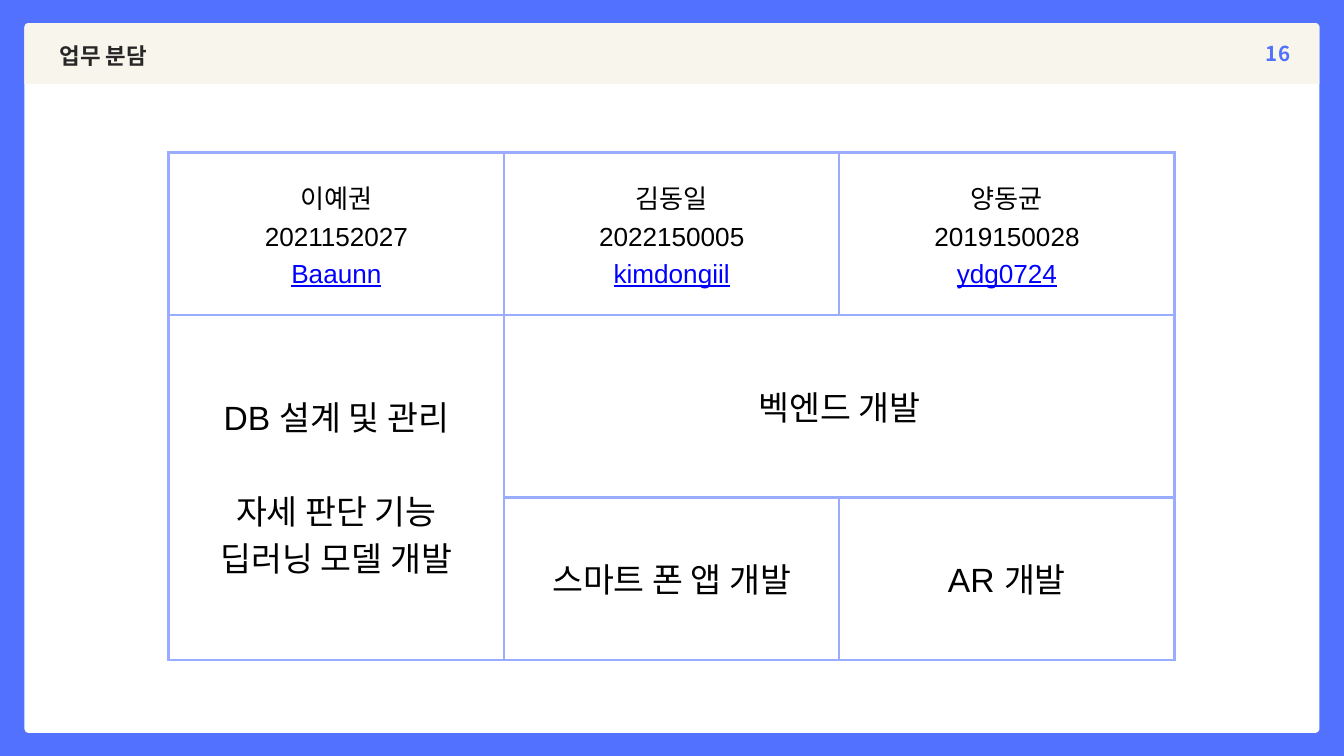
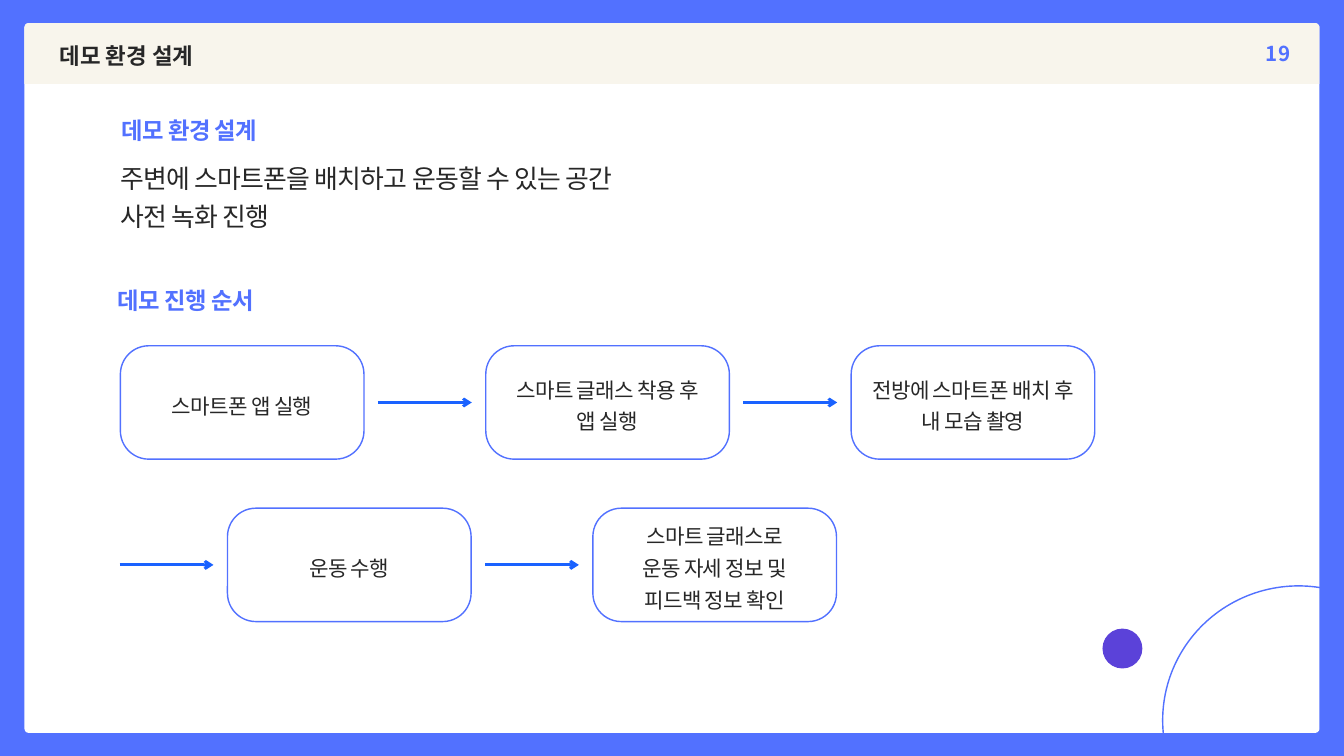
from lxml import etree
from pptx import Presentation
from pptx import util as u
from pptx.dml.color import RGBColor
from pptx.enum import shapes, text
from pptx.oxml import parse_xml
from pptx.oxml.ns import nsdecls, qn

PX = 9525  # 96 px to the inch
BLUE = RGBColor(0x52, 0x71, 0xFF)
ARROW_BLUE = RGBColor(0x1A, 0x62, 0xFF)
LINK_BLUE = RGBColor(0x00, 0x00, 0xFF)
PURPLE = RGBColor(0x4E, 0x32, 0xD6)
CREAM = RGBColor(0xF8, 0xF5, 0xEC)
WHITE = RGBColor(0xFF, 0xFF, 0xFF)
BLACK = RGBColor(0x00, 0x00, 0x00)
INK = RGBColor(0x27, 0x27, 0x27)
GRID = RGBColor(0x99, 0xAC, 0xFF)
NOTO = "Noto Sans CJK KR"
SHAPE = shapes.MSO_SHAPE
ALIGN = text.PP_ALIGN
CARD = (35, 33, 1850, 1014)
BAND_H = 87
RADIUS = 6
STEP_W, STEP_H, STEP_PITCH = 348, 162, 522
ARROW_GAP = 20


def px(*lengths):
    return [u.Emu(n * PX) for n in lengths]


def style(p, size, leading, color, font=NOTO, bold=False, spacing=0, align=ALIGN.LEFT):
    p.alignment = align
    p.line_spacing = u.Pt(leading)
    f = p.font
    f.size, f.bold, f.name = u.Pt(size), bold, font
    f.color.rgb = color
    props = p._p.get_or_add_pPr().get_or_add_defRPr()
    if spacing:
        props.set("spc", str(round(spacing * 100)))
    if font == NOTO:
        etree.SubElement(props, qn("a:ea")).set("typeface", font)


def write(tf, lines, **look):
    tf.word_wrap = True
    tf.margin_left = tf.margin_top = tf.margin_right = tf.margin_bottom = 0
    for i, line in enumerate(lines):
        p = tf.add_paragraph() if i else tf.paragraphs[0]
        p.text = line
        style(p, **look)


def add_text(s, box, *lines, **look):
    write(s.shapes.add_textbox(*px(*box)).text_frame, lines, **look)


def add_shape(s, kind, box, fill=None, line=None):
    sp = s.shapes.add_shape(kind, *px(*box))
    sp.shadow.inherit = False
    if fill is None:
        sp.fill.background()
    else:
        sp.fill.solid()
        sp.fill.fore_color.rgb = fill
    if line is None:
        sp.line.fill.background()
    else:
        sp.line.color.rgb = line
        sp.line.width = u.Pt(1.5)
    return sp


def add_page(prs, title, number):
    """Add a slide with the frame, title band and page number."""
    s = prs.slides.add_slide(prs.slide_layouts[6])
    s.background.fill.solid()
    s.background.fill.fore_color.rgb = BLUE
    x, y, w, h = CARD
    card = add_shape(s, SHAPE.ROUNDED_RECTANGLE, CARD, WHITE)
    card.adjustments[0] = RADIUS / h
    band = add_shape(s, SHAPE.ROUND_2_SAME_RECTANGLE, (x, y, w, BAND_H), CREAM)
    band.adjustments[0] = RADIUS / BAND_H
    add_text(s, (x + 50, y + 23, 668, 42), title,
             size=24, leading=31.7, color=INK, bold=True)
    add_text(s, (x + w - 445, y + 22, 403, 38), str(number),
             size=22, leading=29, color=BLUE, bold=True, align=ALIGN.RIGHT)
    return s


def style_cell(cell):
    cell.vertical_anchor = text.MSO_ANCHOR.MIDDLE
    cell.margin_left = cell.margin_top = cell.margin_right = cell.margin_bottom = px(20)[0]
    cell.fill.background()
    props = cell._tc.get_or_add_tcPr()
    for i, side in enumerate("LRTB"):
        props.insert(i, parse_xml(
            f'<a:ln{side} {nsdecls("a")} w="{u.Pt(3)}"><a:solidFill>'
            f'<a:srgbClr val="{GRID}"/></a:solidFill></a:ln{side}>'))


def fill_cell(cell, lines, size, leading, font="Arial"):
    for i, line in enumerate(lines):
        p = cell.text_frame.add_paragraph() if i else cell.text_frame.paragraphs[0]
        p.text = line
        style(p, size, leading, BLACK, font, align=ALIGN.CENTER)
    return cell.text_frame.paragraphs


def add_duties(s, x, y):
    col_w, row_heights = 479, (232, 261, 232)
    table = s.shapes.add_table(3, 3, *px(x, y, 3 * col_w, sum(row_heights))).table
    table.first_row = table.horz_banding = False
    for col in table.columns:
        col.width = px(col_w)[0]
    for row, height in zip(table.rows, row_heights):
        row.height = px(height)[0]
    for cell in table.iter_cells():
        style_cell(cell)

    members = [("이예권", "2021152027", "Baaunn"),
               ("김동일", "2022150005", "kimdongiil"),
               ("양동균", "2019150028", "ydg0724")]
    for c, member in enumerate(members):
        account = fill_cell(table.cell(0, c), member, 28, 39.2)[-1]
        account.font.color.rgb = LINK_BLUE
        account.font.underline = True

    table.cell(1, 0).merge(table.cell(2, 0))
    table.cell(1, 1).merge(table.cell(1, 2))
    model = fill_cell(table.cell(1, 0),
                      ("DB 설계 및 관리", "자세 판단 기능", "딥러닝 모델 개발"), 36, 50.4)
    model[1].space_before = u.Pt(50.4)
    fill_cell(table.cell(1, 1), ["벡엔드 개발"], 36, 50.4, "Calibri")
    fill_cell(table.cell(2, 1), ["스마트 폰 앱 개발"], 36, 50.4)
    fill_cell(table.cell(2, 2), ["AR 개발"], 36, 50.4)


def add_arrow(s, x1, x2, y):
    line = s.shapes.add_connector(shapes.MSO_CONNECTOR.STRAIGHT, *px(x1, y, x2, y))
    line.line.color.rgb = ARROW_BLUE
    line.line.width = u.Pt(3)
    etree.SubElement(line.line._get_or_add_ln(), qn("a:tailEnd")).set("type", "arrow")
    etree.SubElement(line._element.spPr, qn("a:effectLst"))


def add_steps(s, x, y, steps, continued=False):
    """Place a row of steps; a continued row also has an arrow before its first step."""
    for i, lines in enumerate(steps):
        left = x + i * STEP_PITCH
        sp = add_shape(s, SHAPE.ROUNDED_RECTANGLE, (left, y, STEP_W, STEP_H), line=BLUE)
        sp.adjustments[0] = 0.25
        write(sp.text_frame, lines, size=22.7, leading=34, color=INK,
              spacing=-0.7, align=ALIGN.CENTER)
        sp.text_frame.vertical_anchor = text.MSO_ANCHOR.MIDDLE
        if i or continued:
            add_arrow(s, left - (STEP_PITCH - STEP_W) + ARROW_GAP, left - ARROW_GAP,
                      y + STEP_H // 2)


def add_heading(s, x, y, title):
    add_text(s, (x, y, 339, 43), title, size=25, leading=33, color=BLUE,
             bold=True, spacing=-0.5, align=ALIGN.CENTER)


def add_circles(s, x, y):
    add_shape(s, SHAPE.OVAL, (x + 86, y, 388, 384), line=BLUE)
    dot = add_shape(s, SHAPE.OVAL, (x, y + 61, 57, 57), PURPLE)
    color = dot.fill._xPr.find(qn("a:solidFill"))[0]
    etree.SubElement(color, qn("a:alpha")).set("val", "92000")


def add_demo(s, x, y):
    add_heading(s, x - 71, y, "데모 환경 설계")
    add_text(s, (x, y + 59, 969, 108),
             "주변에 스마트폰을 배치하고 운동할 수 있는 공간", "사전 녹화 진행",
             size=27.7, leading=41.5, color=INK, spacing=-0.8)
    add_heading(s, x - 76, y + 243, "데모 진행 순서")
    add_steps(s, x, y + 332, [
        ["스마트폰 앱 실행"],
        ["스마트 글래스 착용 후", "앱 실행"],
        ["전방에 스마트폰 배치 후", "내 모습 촬영"]])
    add_steps(s, x + 153, y + 564, [
        ["운동 수행"],
        ["스마트 글래스로", "운동 자세 정보 및", "피드백 정보 확인"]], continued=True)


def main():
    prs = Presentation()
    prs.slide_width, prs.slide_height = px(1920, 1080)
    add_duties(add_page(prs, "업무 분담", 16), 241, 218)
    demo = add_page(prs, "데모 환경 설계", 19)
    add_circles(demo, 1575, 837)
    add_demo(demo, 172, 162)
    prs.save("out.pptx")


if __name__ == "__main__":
    main()
